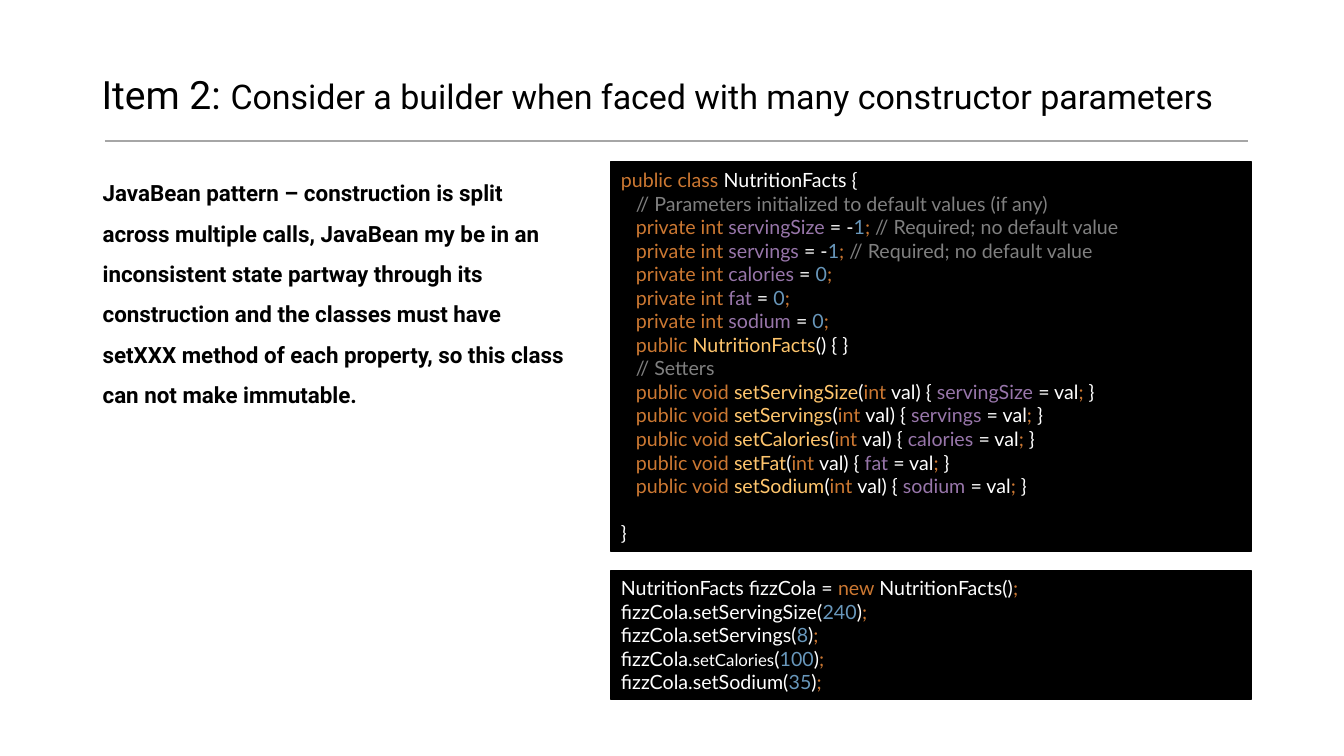
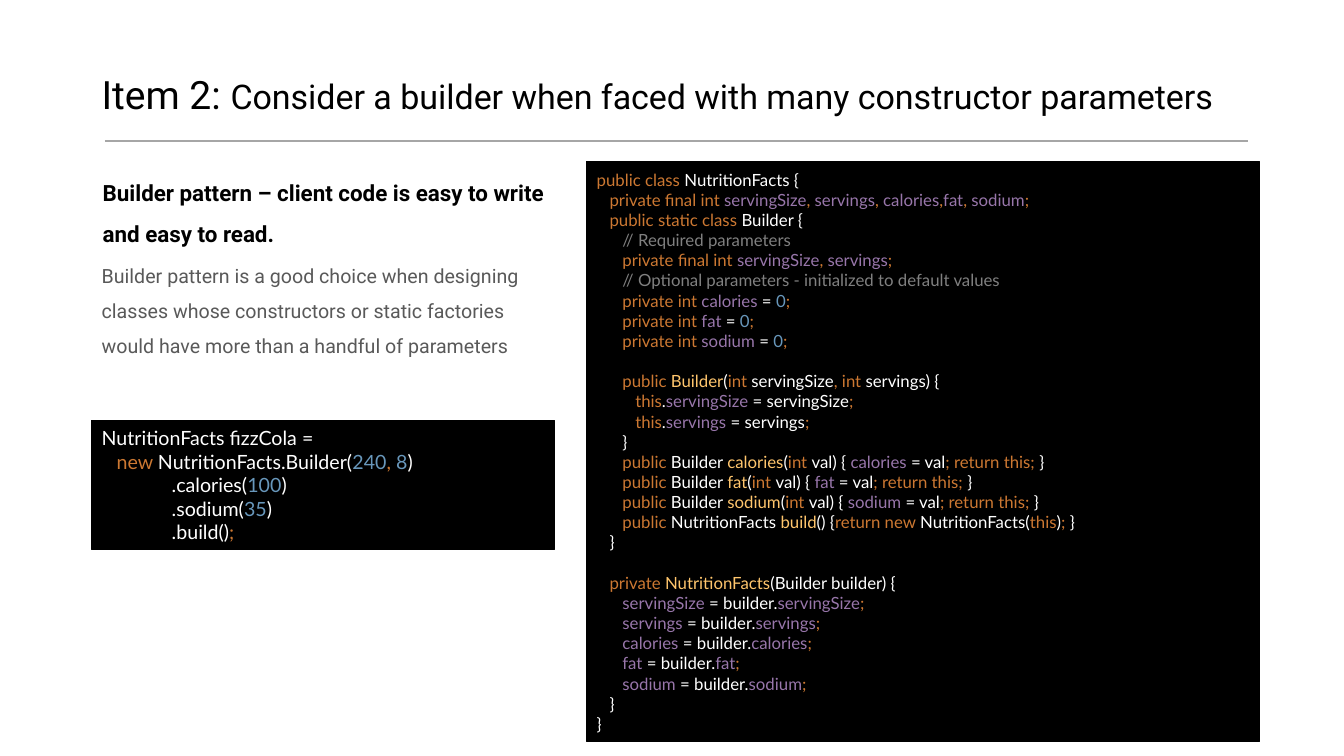
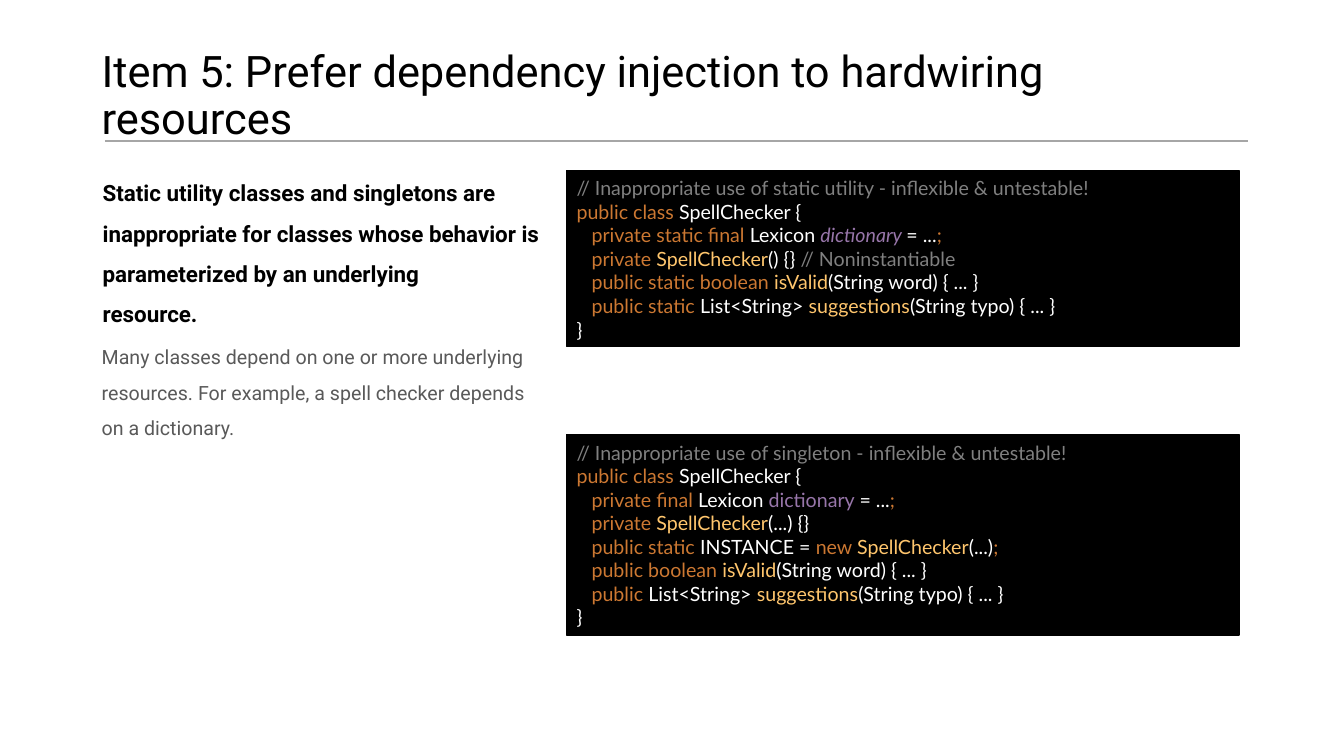
from itertools import groupby
from pptx import Presentation
from pptx.dml.color import RGBColor
from pptx.enum.shapes import MSO_CONNECTOR, MSO_SHAPE
from pptx.enum.text import MSO_ANCHOR, PP_ALIGN
from pptx.oxml.ns import qn
from pptx.util import Inches, Pt
from lxml.etree import SubElement

THEME = {
    "rule": "A6A6A6",
    "panel": "000000",
    "title": {"name": "Roboto", "color": "000000"},
    "title_sizes": {"full": 31, "item": 27.9, "long": 24.3},
    "heading": {"name": "Roboto", "size": 16, "bold": True, "color": "000000"},
    "body": {"name": "Roboto", "size": 14, "color": "595959"},
    "code": {"name": "Lato"},
    "code_sizes": {"normal": 14, "dense": 12},
    "syntax": {
        "plain": {"color": "FFFFFF"},
        "keyword": {"color": "CC7832"},
        "comment": {"color": "808080"},
        "number": {"color": "6897BB"},
        "field": {"color": "9876AA"},
        "method": {"color": "FFC66D"},
        "static": {"color": "9876AA", "italic": True},
        "small": {"color": "FFFFFF", "size": 12},
    },
}
KEYWORDS = "public private static final class int void boolean new return this ; ,".split()
MARKS = {"$": "field", "^": "method", "%": "static", "~": "small"}
SPACES_PER_EM = 3.92

BUILDER_TITLE = [
    ("Item 2: ", "item"),
    ("Consider a builder when faced with many constructor parameters", "long"),
]

BEAN_CLASS = """public class NutritionFacts {
   // Parameters initialized to default values (if any)
   private int $servingSize = -1; // Required; no default value
   private int $servings = -1; // Required; no default value
   private int $calories = 0;
   private int $fat = 0;
   private int $sodium = 0;
   public ^NutritionFacts() { }
   // Setters
   public void ^setServingSize(int val) { $servingSize = val; }
   public void ^setServings(int val) { $servings = val; }
   public void ^setCalories(int val) { $calories = val; }
   public void ^setFat(int val) { $fat = val; }
   public void ^setSodium(int val) { $sodium = val; }

}"""

BEAN_CLIENT = """NutritionFacts fizzCola = new NutritionFacts();
fizzCola.setServingSize(240);
fizzCola.setServings(8);
fizzCola.~setCalories(100);
fizzCola.setSodium(35);"""

BUILDER_FIELDS = """public class NutritionFacts {
   private final int $servingSize, $servings, $calories,$fat, $sodium;
   public static class Builder {
      // Required parameters
      private final int $servingSize, $servings;
      // Optional parameters - initialized to default values
      private int $calories = 0;
      private int $fat = 0;
      private int $sodium = 0;"""

BUILDER_METHODS = """      public ^Builder(int servingSize, int servings) {
         this.$servingSize = servingSize;
         this.$servings = servings;
      }
      public Builder ^calories(int val) { $calories = val; return this; }
      public Builder ^fat(int val) { $fat = val; return this; }
      public Builder ^sodium(int val) { $sodium = val; return this; }
      public NutritionFacts ^build() {return new NutritionFacts(this); }
   }"""

BUILDER_CONSTRUCTOR = """   private ^NutritionFacts(Builder builder) {
      $servingSize = builder.$servingSize;
      $servings = builder.$servings;
      $calories = builder.$calories;
      $fat = builder.$fat;
      $sodium = builder.$sodium;
   }
}"""

BUILDER_CLASS = "\n\n".join([BUILDER_FIELDS, BUILDER_METHODS, BUILDER_CONSTRUCTOR])

BUILDER_CLIENT = """NutritionFacts fizzCola =
   new NutritionFacts.Builder(240, 8)
              .calories(100)
              .sodium(35)
              .build();"""

STATIC_UTILITY = """// Inappropriate use of static utility - inflexible & untestable!
public class SpellChecker {
   private static final Lexicon %dictionary = ...;
   private ^SpellChecker() {} // Noninstantiable
   public static boolean ^isValid(String word) { ... }
   public static List<String> ^suggestions(String typo) { ... }
}"""

SINGLETON = """// Inappropriate use of singleton - inflexible & untestable!
public class SpellChecker {
   private final Lexicon $dictionary = ...;
   private ^SpellChecker(...) {}
   public static INSTANCE = new ^SpellChecker(...);
   public boolean ^isValid(String word) { ... }
   public List<String> ^suggestions(String typo) { ... }
}"""

SLIDES = [
    {
        "title": BUILDER_TITLE,
        "texts": [
            ("heading", (0.92, 1.6, 4.83, 2.47), [
                "JavaBean pattern – construction is split across multiple calls, "
                "JavaBean my be in an inconsistent state partway through its "
                "construction and the classes must have setXXX method of each "
                "property, so this class can not make immutable."]),
        ],
        "code": [
            ("normal", (6.06, 1.6, 6.35, 3.87), BEAN_CLASS),
            ("normal", (6.06, 5.66, 6.35, 1.28), BEAN_CLIENT),
        ],
    },
    {
        "title": BUILDER_TITLE,
        "texts": [
            ("heading", (0.92, 1.6, 4.58, 0.86), [
                "Builder pattern – client code is easy to write and easy to read."]),
            ("body", (0.91, 2.45, 4.59, 1.32), [
                "Builder pattern is a good choice when designing classes whose "
                "constructors or static factories would have more than a handful "
                "of parameters"]),
        ],
        "code": [
            ("dense", (5.82, 1.6, 6.67, 5.76), BUILDER_CLASS),
            ("normal", (0.91, 4.17, 4.59, 1.28), BUILDER_CLIENT),
        ],
    },
    {
        "title": [("Item 5: Prefer dependency injection to hardwiring resources", "full")],
        "texts": [
            ("heading", (0.92, 1.6, 4.58, 1.66), [
                "Static utility classes and singletons are",
                "inappropriate for classes whose behavior is parameterized by an underlying",
                "resource."]),
            ("body", (0.91, 3.26, 4.59, 3.23), [
                "Many classes depend on one or more underlying resources. For "
                "example, a spell checker depends on a dictionary."]),
        ],
        "code": [
            ("normal", (5.62, 1.69, 6.67, 1.75), STATIC_UTILITY),
            ("normal", (5.62, 4.31, 6.67, 1.99), SINGLETON),
        ],
    },
]


def add_run(p, text, fmt):
    r = p.add_run()
    r.text = text
    for key, value in fmt.items():
        if key == "color":
            r.font.color.rgb = RGBColor.from_string(value)
        else:
            setattr(r.font, key, Pt(value) if key == "size" else value)


def highlight(line):
    code, slashes, comment = line.partition("//")
    runs = []
    for _, chars in groupby(code, lambda c: "word" if c.isalnum() or c in MARKS else c):
        token = "".join(chars)
        if token[0] in MARKS:
            kind, token = MARKS[token[0]], token[1:]
        elif token.isspace() and runs:
            kind = runs[-1][1]
        elif token in KEYWORDS:
            kind = "keyword"
        else:
            kind = "number" if token.isdigit() else "plain"
        if runs and runs[-1][1] == kind:
            runs[-1] = (runs[-1][0] + token, kind)
        else:
            runs.append((token, kind))
    if slashes:
        runs.append((slashes + comment, "comment"))
    return runs


prs = Presentation()
prs.slide_width, prs.slide_height = Inches(13.33), Inches(7.5)

for content in SLIDES:
    slide = prs.slides.add_slide(prs.slide_layouts[6])

    rule = slide.shapes.add_connector(
        MSO_CONNECTOR.STRAIGHT, Inches(1.04), Inches(1.4), Inches(12.38), Inches(1.4))
    rule.line.color.rgb = RGBColor.from_string(THEME["rule"])
    rule.line.width = Pt(1)
    SubElement(rule._element.spPr, qn("a:effectLst"))

    tf = slide.shapes.add_textbox(
        Inches(0.91), Inches(0.51), Inches(11.5), Inches(0.9)).text_frame
    tf.word_wrap = True
    tf.vertical_anchor = MSO_ANCHOR.MIDDLE
    p = tf.paragraphs[0]
    p.line_spacing = 0.9
    for text, size in content["title"]:
        add_run(p, text, {**THEME["title"], "size": THEME["title_sizes"][size]})

    for style, box, paragraphs in content["texts"]:
        tf = slide.shapes.add_textbox(*map(Inches, box)).text_frame
        tf.word_wrap = True
        for i, text in enumerate(paragraphs):
            p = tf.add_paragraph() if i else tf.paragraphs[0]
            p.line_spacing = 1.5
            add_run(p, text, THEME[style])

    for size_name, box, source in content["code"]:
        size = THEME["code_sizes"][size_name]
        sp = slide.shapes.add_shape(MSO_SHAPE.RECTANGLE, *map(Inches, box))
        sp.shadow.inherit = False
        sp.fill.solid()
        for fill in (sp.fill.fore_color, sp.line.color):
            fill.rgb = RGBColor.from_string(THEME["panel"])
        sp.line.width = Pt(1)
        tf = sp.text_frame
        tf.word_wrap = True
        tf.vertical_anchor = MSO_ANCHOR.MIDDLE
        p, gap = tf.paragraphs[0], 0
        for i, line in enumerate(source.splitlines()):
            if not line:
                gap = size * 1.2
                continue
            if i:
                p = tf.add_paragraph()
            p.alignment = PP_ALIGN.LEFT
            p.space_before, gap = Pt(gap), 0
            code = line.lstrip()
            indent = Inches((len(line) - len(code)) * size / 72 / SPACES_PER_EM)
            p._p.get_or_add_pPr().set("marL", str(indent))
            for text, kind in highlight(code):
                add_run(p, text, {**THEME["code"], "size": size, **THEME["syntax"][kind]})

prs.save("out.pptx")
